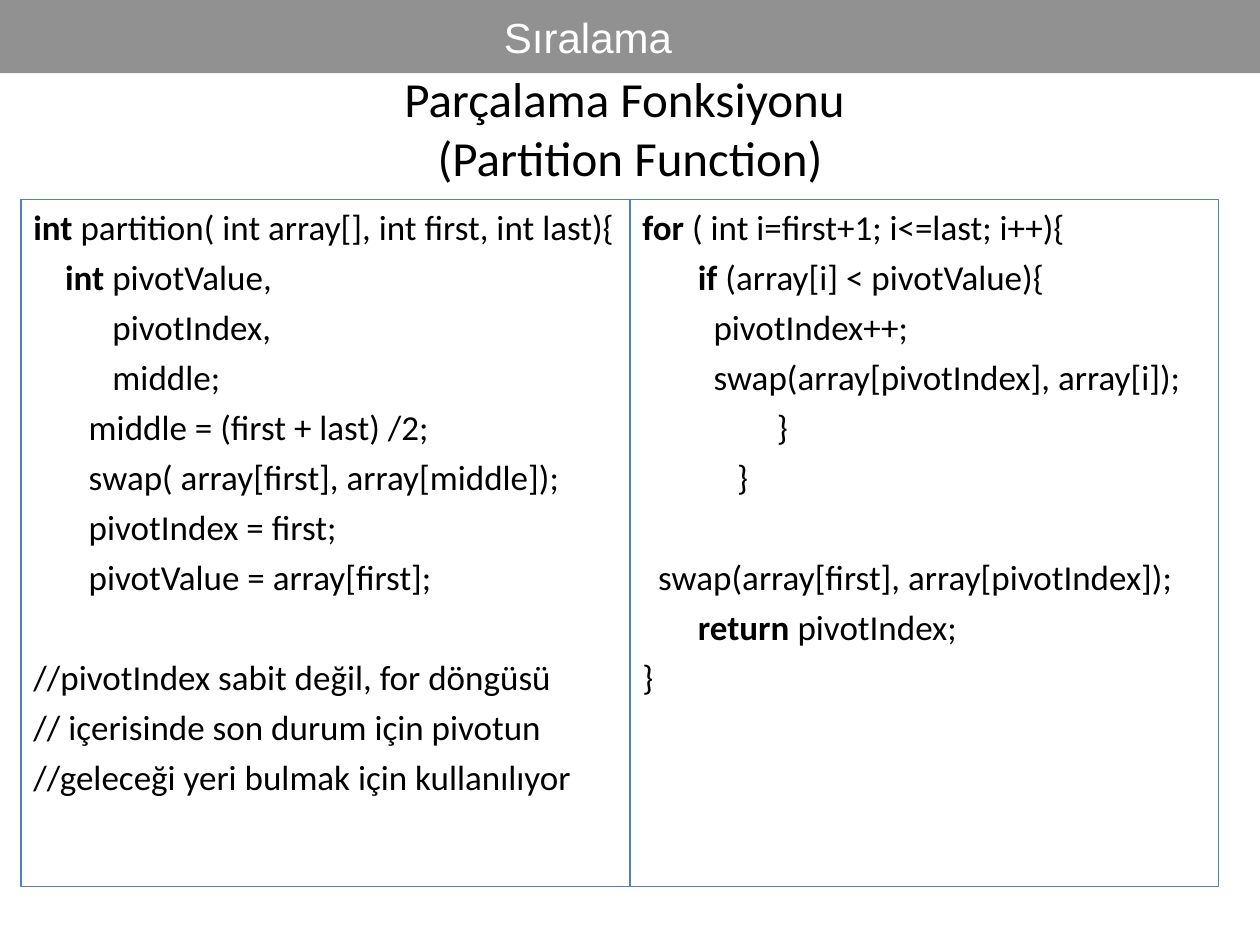
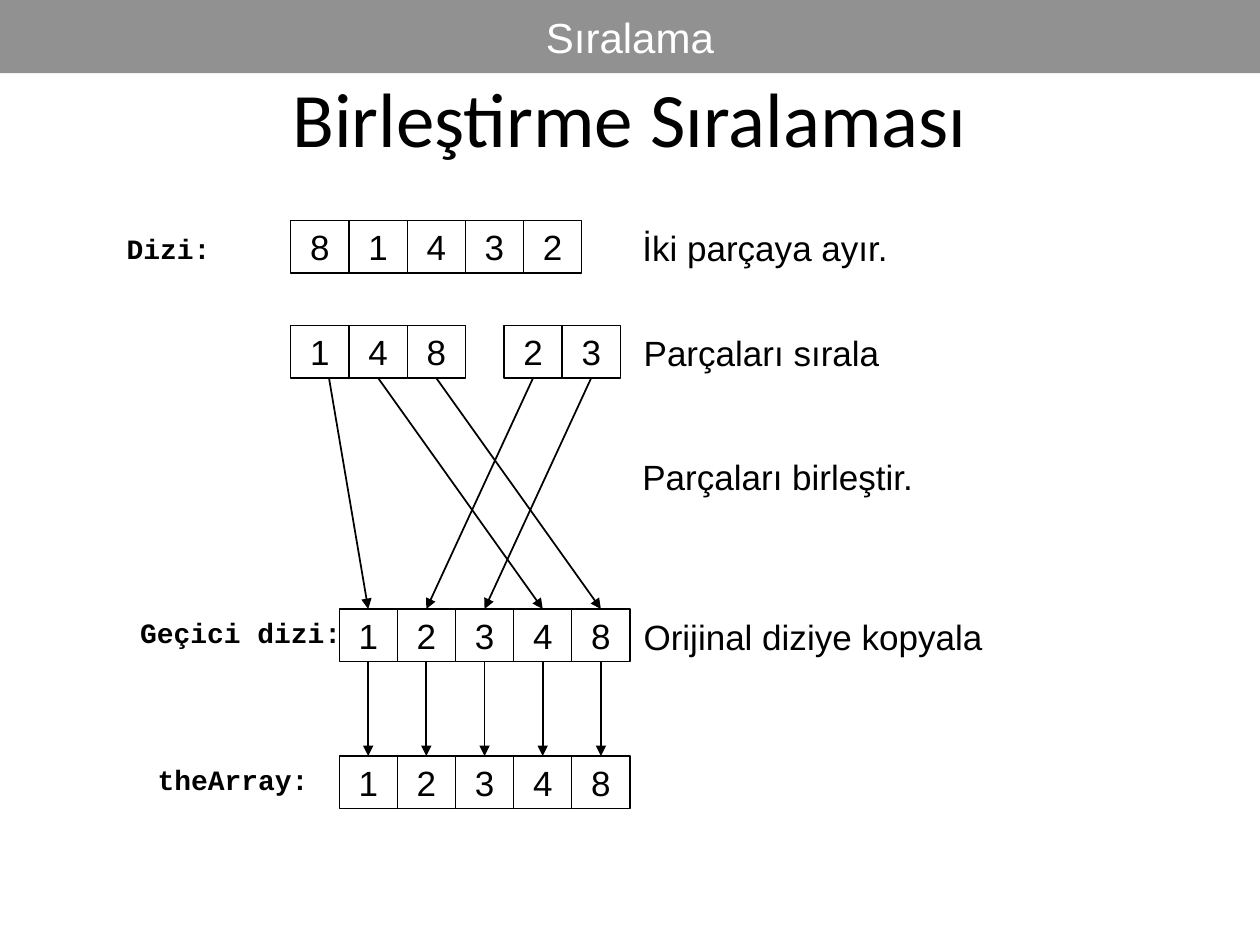
import copy
import dataclasses
import typing

import lxml.etree
import pptx
import pptx.dml.color
import pptx.enum.shapes
import pptx.enum.text
import pptx.oxml.ns
import pptx.slide
import pptx.util

Pt = pptx.util.Pt
qn = pptx.oxml.ns.qn
ALIGN = pptx.enum.text.PP_ALIGN
ANCHOR = pptx.enum.text.MSO_ANCHOR
FIT = pptx.enum.text.MSO_AUTO_SIZE
RECT = pptx.enum.shapes.MSO_SHAPE.RECTANGLE
STRAIGHT = pptx.enum.shapes.MSO_CONNECTOR.STRAIGHT

COLORS = {"ink": "000000", "paper": "FFFFFF", "band": "919191", "frame": "4F81BD"}

FONTS = {
    "title": {"name": "Calibri", "size": Pt(44), "bold": False},
    "pair": {"name": "Calibri", "size": Pt(28), "bold": False},
    "band": {"name": "Arial", "size": Pt(24), "bold": False},
    "code": {"name": "Calibri", "size": Pt(20), "bold": False},
    "body": {"name": "Arial", "size": Pt(20), "bold": False},
    "label": {"name": "Courier New", "size": Pt(16), "bold": True},
}

FRAMES = {
    "center": {"vertical_anchor": ANCHOR.MIDDLE, "word_wrap": False},
    "title": {"vertical_anchor": ANCHOR.MIDDLE, "word_wrap": True, "auto_size": FIT.NONE},
    "code": {"vertical_anchor": ANCHOR.TOP, "word_wrap": True},
    "label": {"word_wrap": False, "auto_size": FIT.SHAPE_TO_FIT_TEXT},
}

KEYWORDS = {"int", "for", "if", "return"}
LINE_GAP = 4.5
BLANK_GAP = 33.4
CELL_W = 33.24
CELL_H = 30

LEFT_CODE = """\
int partition( int array[], int first, int last){
    int pivotValue,
          pivotIndex,
          middle;
       middle = (first + last) /2;
       swap( array[first], array[middle]);
       pivotIndex = first;
       pivotValue = array[first];

//pivotIndex sabit değil, for döngüsü
// içerisinde son durum için pivotun
//geleceği yeri bulmak için kullanılıyor"""

RIGHT_CODE = """\
for ( int i=first+1; i<=last; i++){
       if (array[i] < pivotValue){
         pivotIndex++;
         swap(array[pivotIndex], array[i]);
                 }
            }

  swap(array[first], array[pivotIndex]);
       return pivotIndex;
}"""


@dataclasses.dataclass(frozen=True)
class Box:
    left: float
    top: float
    width: float
    height: float

    def points(self) -> list[pptx.util.Length]:
        return [Pt(side) for side in dataclasses.astuple(self)]


@dataclasses.dataclass(frozen=True)
class Row:
    left: float
    top: float
    values: tuple[int, ...]

    @property
    def base(self) -> float:
        return self.top + CELL_H

    def mid(self, value: int) -> float:
        """Give the centre of the cell that holds the value."""
        return self.left + (self.values.index(value) + 0.5) * CELL_W


@dataclasses.dataclass(frozen=True)
class Label:
    text: str
    box: Box
    font: str


BAND = Box(0, 0, 720, 41.75)
CODES = [(LEFT_CODE, Box(12, 114, 348, 392.4)), (RIGHT_CODE, Box(360, 114, 336.2, 392.4))]

FIRST = Row(166.2, 126, (8, 1, 4, 3, 2))
HALVES = [Row(166.2, 186, (1, 4, 8)), Row(288, 186, (2, 3))]
MERGED = Row(193.8, 348, (1, 2, 3, 4, 8))
FINAL = Row(193.8, 432, MERGED.values)
STARTS = {value: half.mid(value) for half in HALVES for value in half.values} | {1: 188}

LABELS = [
    Label("Dizi:", Box(65.3, 129, 64, 26.6), "label"),
    Label("theArray:", Box(83, 432, 103, 26.6), "label"),
    Label("Geçici dizi:", Box(73, 348, 132, 26.6), "label"),
    Label("İki parçaya ayır.", Box(360, 126, 157, 31.5), "body"),
    Label("Parçaları sırala", Box(360.7, 186, 151, 31.5), "body"),
    Label("Parçaları birleştir.", Box(360, 257, 172, 31.5), "body"),
    Label("Orijinal diziye kopyala", Box(360.7, 348, 210, 31.5), "body"),
]


def color(name: str) -> pptx.dml.color.RGBColor:
    return pptx.dml.color.RGBColor.from_string(COLORS[name])


def apply(target: typing.Any, values: dict[str, typing.Any]) -> None:
    for name, value in values.items():
        setattr(target, name, value)


def style(run: typing.Any, font: str, ink: str = "ink") -> None:
    apply(run.font, FONTS[font])
    run.font.color.rgb = color(ink)


def add_text(para: typing.Any, text: str, font: str, ink: str = "ink") -> typing.Any:
    run = para.add_run()
    run.text = text
    style(run, font, ink)
    return run


def add_rect(
    slide: pptx.slide.Slide, box: Box, fill: str | None, line: str | None
) -> typing.Any:
    shape = slide.shapes.add_shape(RECT, *box.points())
    shape.shadow.inherit = False
    if fill:
        shape.fill.solid()
        shape.fill.fore_color.rgb = color(fill)
    else:
        shape.fill.background()
    if line:
        shape.line.color.rgb = color(line)
        shape.line.width = Pt(0.75)
    else:
        shape.line.fill.background()
    return shape


def add_center(shape: typing.Any, text: str, font: str, ink: str) -> typing.Any:
    """Write one centred line in a shape."""
    apply(shape.text_frame, FRAMES["center"])
    para = shape.text_frame.paragraphs[0]
    para.alignment = ALIGN.CENTER
    add_text(para, text, font, ink)
    return para


def add_tabs(para: typing.Any) -> None:
    """Set tab stops one inch apart."""
    tabs = lxml.etree.SubElement(para._p.get_or_add_pPr(), qn("a:tabLst"))
    for step in range(8):
        lxml.etree.SubElement(tabs, qn("a:tab"), pos=str(Pt(72 * step)), algn="l")


def add_band(slide: pptx.slide.Slide, text: str) -> None:
    shape = add_rect(slide, BAND, "band", None)
    add_tabs(add_center(shape, text, "band", "paper"))


def set_title(slide: pptx.slide.Slide, text: str, box: Box, font: str) -> None:
    title = slide.shapes.title
    apply(title, dict(zip(("left", "top", "width", "height"), box.points())))
    frame = title.text_frame
    frame.text = text
    apply(frame, FRAMES["title"])
    para = frame.paragraphs[0]
    para.alignment = ALIGN.CENTER
    for run in para.runs:
        style(run, font)
    for brk in para._p.findall(qn("a:br")):
        brk.append(copy.deepcopy(para.runs[0]._r.rPr))


def add_code(slide: pptx.slide.Slide, code: str, box: Box) -> None:
    """Draw a framed listing with each line's leading keyword in bold."""
    frame = add_rect(slide, box, None, "frame").text_frame
    apply(frame, FRAMES["code"])
    gap = 0.0
    for index, line in enumerate(code.split("\n")):
        if not line:
            gap = BLANK_GAP
            continue
        para = frame.add_paragraph() if index else frame.paragraphs[0]
        para.alignment = ALIGN.LEFT
        para.space_before = Pt(gap)
        gap = LINE_GAP
        bare = line.lstrip()
        word = bare.split()[0]
        if word not in KEYWORDS:
            add_text(para, line, "code")
            continue
        indent = line[: len(line) - len(bare)]
        if indent:
            add_text(para, indent, "code")
        add_text(para, word, "code").font.bold = True
        add_text(para, bare[len(word):], "code")


def add_row(slide: pptx.slide.Slide, row: Row) -> None:
    for index, value in enumerate(row.values):
        box = Box(row.left + index * CELL_W, row.top, CELL_W, CELL_H)
        add_center(add_rect(slide, box, "paper", "ink"), str(value), "body", "ink")


def add_arrow(
    slide: pptx.slide.Slide, start: tuple[float, float], end: tuple[float, float]
) -> None:
    ends = [Pt(place) for place in (*start, *end)]
    arrow = slide.shapes.add_connector(STRAIGHT, *ends)
    arrow.line.color.rgb = color("ink")
    arrow.line.width = Pt(1)
    lxml.etree.SubElement(arrow.line._get_or_add_ln(), qn("a:tailEnd"), type="triangle")
    lxml.etree.SubElement(arrow._element.spPr, qn("a:effectLst"))


def add_label(slide: pptx.slide.Slide, label: Label) -> None:
    frame = slide.shapes.add_textbox(*label.box.points()).text_frame
    apply(frame, FRAMES["label"])
    add_text(frame.paragraphs[0], label.text, label.font)


def draw_code(slide: pptx.slide.Slide) -> None:
    title = "Parçalama Fonksiyonu \v(Partition Function)"
    set_title(slide, title, Box(36, 21.6, 648, 102), "pair")
    add_band(slide, "Sıralama\t")
    for code, box in CODES:
        add_code(slide, code, box)


def draw_merge(slide: pptx.slide.Slide) -> None:
    set_title(slide, "Birleştirme Sıralaması", Box(36, 21.6, 648, 90), "title")
    for row in (FIRST, *HALVES, MERGED, FINAL):
        add_row(slide, row)
    for value in MERGED.values:
        mid = MERGED.mid(value)
        add_arrow(slide, (STARTS[value], HALVES[0].base), (mid, MERGED.top))
        add_arrow(slide, (mid, MERGED.base), (mid, FINAL.top))
    for label in LABELS:
        add_label(slide, label)
    add_band(slide, "Sıralama")


def main() -> None:
    deck = pptx.Presentation()
    apply(deck, {"slide_width": Pt(720), "slide_height": Pt(540)})
    layout = deck.slide_layouts.get_by_name("Title Only")
    for draw in (draw_code, draw_merge):
        draw(deck.slides.add_slide(layout))
    deck.save("out.pptx")


if __name__ == "__main__":
    main()
